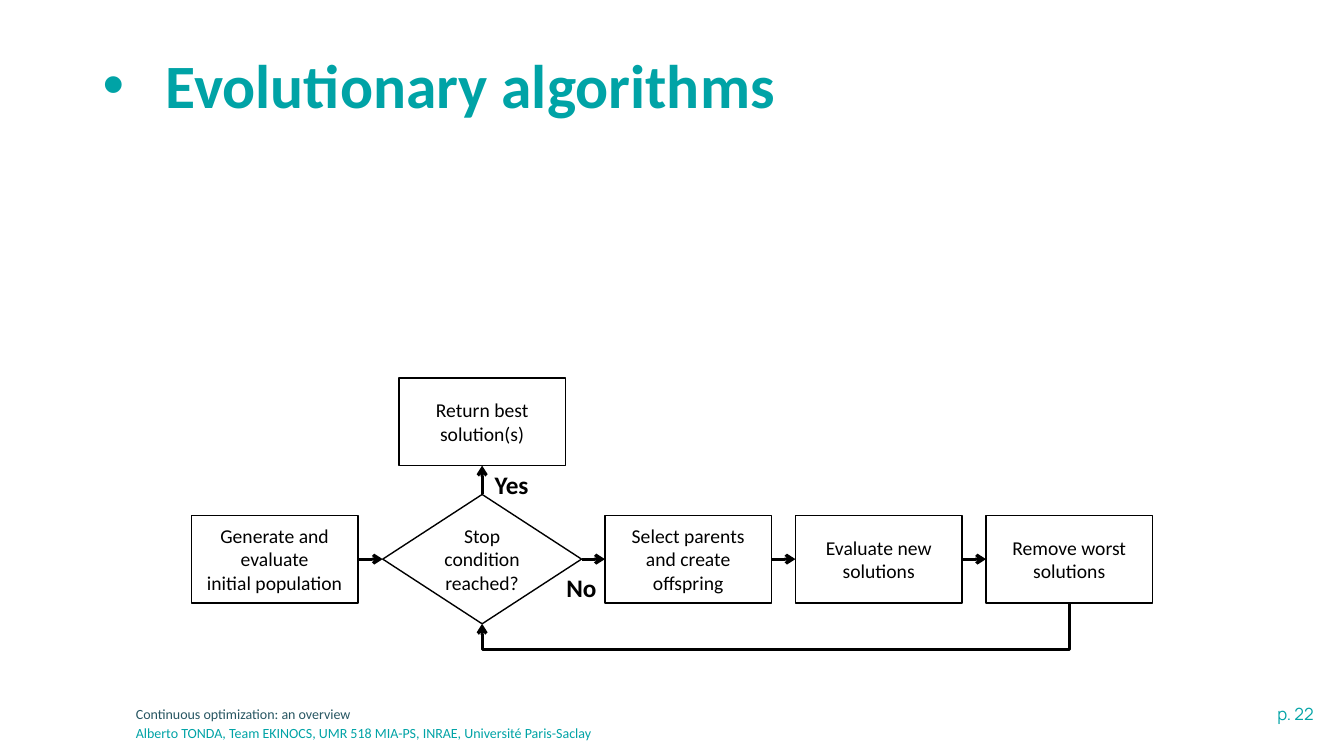
from dataclasses import dataclass

from lxml import etree
from pptx import Presentation
from pptx.dml.color import RGBColor
from pptx.enum import shapes, text
from pptx.oxml import ns
from pptx.util import Pt

TOP, LEFT, BOTTOM, RIGHT = range(4)  # connection sites of a flowchart shape
ALIGN, ANCHOR, KIND = text.PP_ALIGN, text.MSO_ANCHOR, shapes.MSO_SHAPE


@dataclass(frozen=True)
class Theme:
    teal: str = "00A3A6"
    slate: str = "275662"
    black: str = "000000"
    white: str = "FFFFFF"
    body_font: str = "Calibri"
    page_font: str = "Manrope"
    title_size: float = 44
    label_size: float = 18
    box_size: float = 14
    page_size: float = 12
    footer_size: float = 10
    outline: float = 1
    arrow: float = 2.25


class FlowSlide:
    def __init__(self, deck, theme):
        self.theme = theme
        self.slide = deck.slides.add_slide(deck.slide_layouts[5])
        self.shapes = self.slide.shapes

    def fill_text(self, frame, lines, size, color, align=ALIGN.LEFT, bold=False, font=None):
        frame.text = "\n".join(lines)
        look = {"name": font or self.theme.body_font, "size": Pt(size), "bold": bold}
        for paragraph in frame.paragraphs:
            paragraph.alignment = align
            for run in paragraph.runs:
                for key, value in look.items():
                    setattr(run.font, key, value)
                run.font.color.rgb = RGBColor.from_string(color)

    def title(self, wording, left, top, width, height, indent):
        heading = self.shapes.title
        place = {"left": left, "top": top, "width": width, "height": height}
        for key, value in place.items():
            setattr(heading, key, Pt(value))
        frame = heading.text_frame
        frame.vertical_anchor = ANCHOR.MIDDLE
        frame.auto_size = text.MSO_AUTO_SIZE.NONE
        self.fill_text(frame, [wording], self.theme.title_size, self.theme.teal, bold=True)
        paragraph = frame.paragraphs[0]
        paragraph.line_spacing = 0.9
        properties = paragraph._p.get_or_add_pPr()
        properties.set("marL", str(Pt(indent)))
        properties.set("indent", str(-Pt(indent)))
        etree.SubElement(properties, ns.qn("a:buFont"), typeface="Arial")
        etree.SubElement(properties, ns.qn("a:buChar"), char="•")

    def label(self, wording, left, top, width, height, size, color, **look):
        box = self.shapes.add_textbox(Pt(left), Pt(top), Pt(width), Pt(height))
        box.text_frame.word_wrap = True
        self.fill_text(box.text_frame, [wording], size, color, **look)

    def step(self, lines, center_x, center_y, width, height, kind=KIND.FLOWCHART_PROCESS):
        shape = self.shapes.add_shape(kind, Pt(center_x - width / 2), Pt(center_y - height / 2),
                                      Pt(width), Pt(height))
        shape.shadow.inherit = False
        shape.fill.solid()
        shape.fill.fore_color.rgb = RGBColor.from_string(self.theme.white)
        shape.line.color.rgb = RGBColor.from_string(self.theme.black)
        shape.line.width = Pt(self.theme.outline)
        shape.text_frame.word_wrap = True
        shape.text_frame.vertical_anchor = ANCHOR.MIDDLE
        self.fill_text(shape.text_frame, lines, self.theme.box_size, self.theme.black,
                       ALIGN.CENTER)
        return shape

    def arrow(self, source, source_site, target, target_site,
              kind=shapes.MSO_CONNECTOR.STRAIGHT):
        link = self.shapes.add_connector(kind, 0, 0, 0, 0)
        link.begin_connect(source, source_site)
        link.end_connect(target, target_site)
        link.line.color.rgb = RGBColor.from_string(self.theme.black)
        link.line.width = Pt(self.theme.arrow)
        properties = link._element.spPr
        etree.SubElement(properties.find(ns.qn("a:ln")), ns.qn("a:tailEnd"), type="arrow")
        etree.SubElement(properties, ns.qn("a:effectLst"))
        return link

    def loop_below(self, source, target, drop):
        """Elbow arrow from bottom to bottom, running `drop` points under the source."""
        link = self.arrow(source, BOTTOM, target, BOTTOM, shapes.MSO_CONNECTOR.ELBOW)
        span, rise = link.width, link.height
        center_x, center_y = link.left + span // 2, link.top + rise // 2
        # A quarter turn makes the first leg vertical, so width and height swap.
        place = {"left": center_x - rise // 2, "top": center_y - span // 2,
                 "width": rise, "height": span}
        for key, value in place.items():
            setattr(link, key, value)
        properties = link._element.spPr
        frame = properties.find(ns.qn("a:xfrm"))
        frame.set("rot", str(90 * 60000))
        frame.set("flipH", "0")
        guides = properties.find(ns.qn("a:prstGeom")).get_or_add_avLst()
        etree.SubElement(guides, ns.qn("a:gd"), name="adj1",
                         fmla=f"val {round(Pt(drop) / rise * 100000)}")


def main():
    deck = Presentation()
    deck.slide_width, deck.slide_height = Pt(960), Pt(540)
    theme = Theme()
    page = FlowSlide(deck, theme)

    page.label("p. 22", 781.2, 499, 164.2, 21.6, theme.page_size, theme.teal,
               align=ALIGN.RIGHT, font=theme.page_font)
    footers = [("Continuous optimization: an overview", 500.4, theme.slate),
               ("Alberto TONDA, Team EKINOCS, UMR 518 MIA-PS, INRAE, Université Paris-Saclay",
                514.1, theme.teal)]
    for wording, top, color in footers:
        page.label(wording, 90, top, 528.5, 20, theme.footer_size, color)
    page.title("Evolutionary algorithms", 66.2, 28.8, 828, 68.4, indent=45)

    row_y, stop_x, box = 399.4, 344.4, (119, 62.6)
    generate = page.step(["Generate and evaluate", "initial population"], 196.2, row_y, *box)
    stop = page.step(["Stop condition reached?"], stop_x, row_y, 142, 92.4,
                     KIND.FLOWCHART_DECISION)
    cycle = [page.step([wording], 491.6 + 136.1 * index, row_y, *box)
             for index, wording in enumerate(["Select parents and create offspring",
                                              "Evaluate new solutions",
                                              "Remove worst solutions"])]
    best = page.step(["Return best solution(s)"], stop_x, 301.3, *box)

    row = [generate, stop, *cycle]
    for source, target in zip(row, row[1:]):
        page.arrow(source, RIGHT, target, LEFT)
    page.arrow(stop, TOP, best, BOTTOM)
    page.loop_below(cycle[-1], stop, drop=33)

    for answer, left, top in [("Yes", 346.3, 331.9), ("No", 397.4, 405.4)]:
        page.label(answer, left, top, 39.6, 28.8, theme.label_size, theme.black, bold=True)

    deck.save("out.pptx")


if __name__ == "__main__":
    main()
